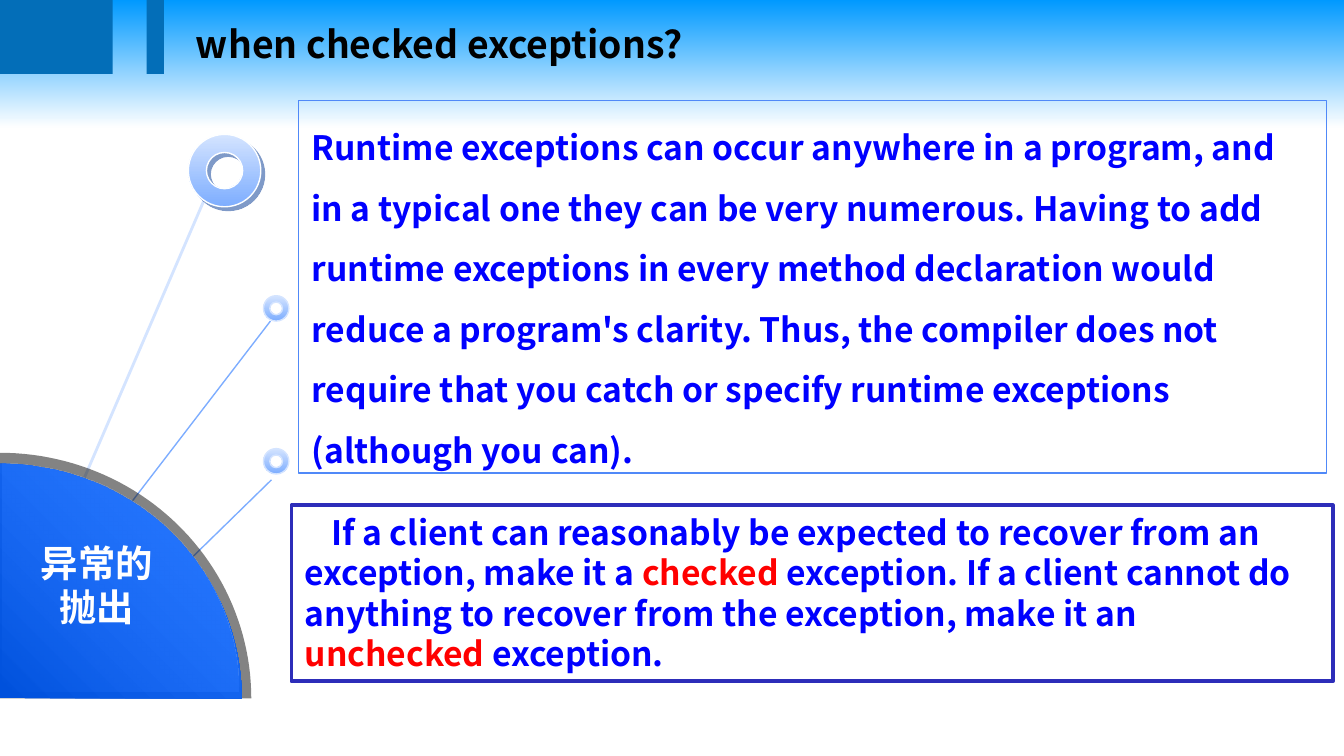
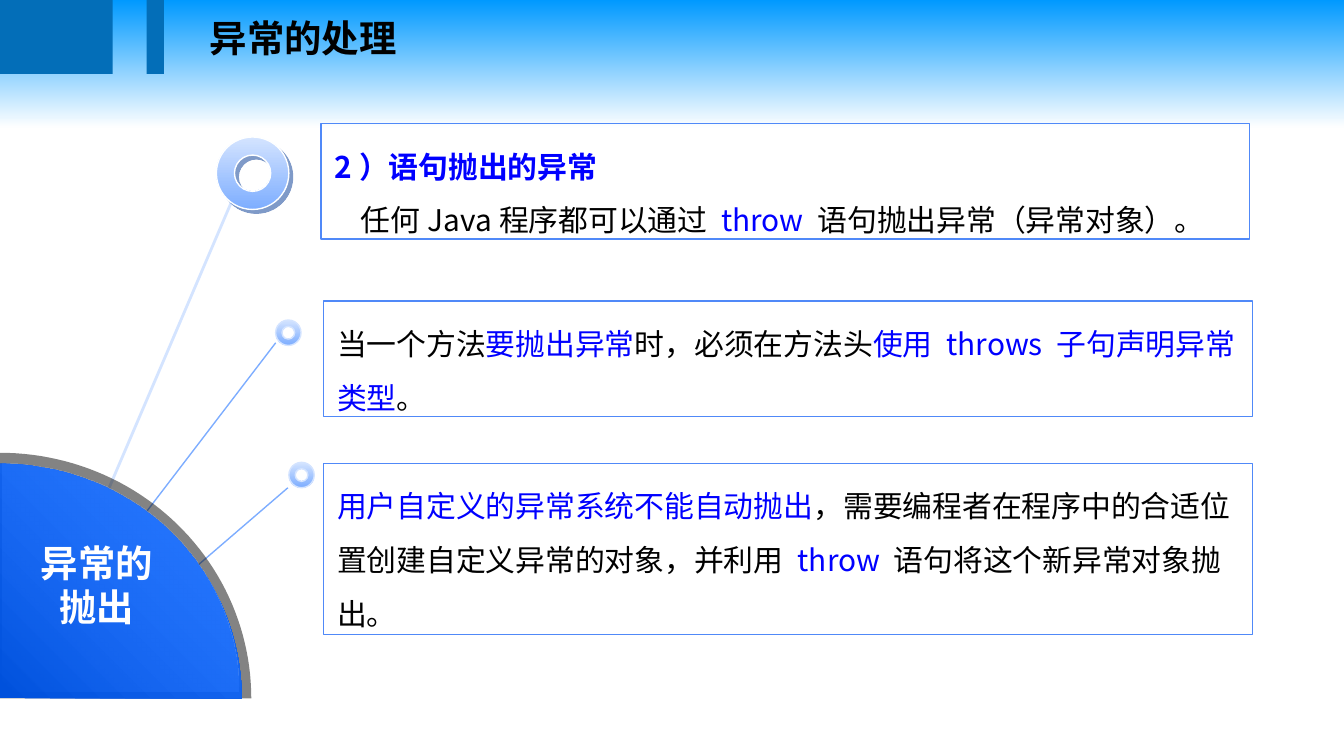
from math import cos, pi, sin

from lxml.etree import SubElement
from pptx import Presentation
from pptx.dml.color import RGBColor
from pptx.enum.shapes import MSO_CONNECTOR, MSO_SHAPE
from pptx.enum.text import MSO_ANCHOR, MSO_AUTO_SIZE, PP_ALIGN
from pptx.oxml.ns import qn
from pptx.util import Cm, Pt

FONT = "Noto Sans CJK SC"
COLOURS = {
    "sky": "0099FF", "band": "036EB8", "white": "FFFFFF", "black": "000000",
    "blue": "0000FF", "red": "FF0000", "card": "5089F8", "frame": "2D2DB9",
    "pale": "D4E4FF", "soft": "7DADFF", "deep": "0051DC", "bright": "2676FF",
    "rim": "080808", "ring_edge": "FEFFFF", "ring_shadow": "003692",
}
RING_SIZES = (1.37, 0.48, 0.48)
SPOKE_STYLES = (("pale", 1.5), ("soft", 0.75), ("soft", 0.75))


def rgb(name):
    return RGBColor.from_string(COLOURS[name])


# Fills and lines
def set_fill(shape, colour):
    if colour:
        shape.fill.solid()
        shape.fill.fore_color.rgb = rgb(colour)
    else:
        shape.fill.background()


def set_gradient(fill, first, last, angle, last_position=1.0):
    fill.gradient()
    fill.gradient_angle = angle
    start, end = fill.gradient_stops
    start.color.rgb, end.color.rgb = rgb(first), rgb(last)
    start.position, end.position = 0, last_position


def set_line(shape, colour=None, width=0.75):
    if colour:
        shape.line.color.rgb = rgb(colour)
        shape.line.width = Pt(width)
    else:
        shape.line.fill.background()


def set_alpha(colour_element, percent):
    SubElement(colour_element, qn("a:alpha")).set("val", str(percent * 1000))


def add_plain(page, kind, place, fill=None, line=None, width=0.75):
    shape = page.shapes.add_shape(kind, *map(Cm, place))
    shape.shadow.inherit = False
    set_fill(shape, fill)
    set_line(shape, line, width)
    return shape


# Text
def write(frame, paragraphs, size, bold=False, spacing=None, align=PP_ALIGN.LEFT):
    """Each paragraph is (indent in cm, [(text, colour), ...], bold or None)."""
    frame.word_wrap = True
    frame.auto_size = MSO_AUTO_SIZE.NONE
    frame.vertical_anchor = MSO_ANCHOR.TOP
    for index, (indent, spans, own_bold) in enumerate(paragraphs):
        para = frame.add_paragraph() if index else frame.paragraphs[0]
        para.alignment = align
        if spacing:
            para.line_spacing = spacing
        if indent:
            para._p.get_or_add_pPr().set("indent", str(Cm(indent)))
        for text, colour in spans:
            span = para.add_run()
            span.text = text
            span.font.size = Pt(size)
            span.font.bold = bold if own_bold is None else own_bold
            span.font.color.rgb = rgb(colour)
            span.font.name = FONT
            SubElement(span._r.get_or_add_rPr(), qn("a:ea")).set("typeface", FONT)


def add_card(page, place, paragraphs, size, bold=False):
    card = add_plain(page, MSO_SHAPE.RECTANGLE, place, line="card")
    write(card.text_frame, paragraphs, size, bold, spacing=1.5)


# Header shared by both slides
def add_page(deck, title, left, top):
    page = deck.slides.add_slide(deck.slide_layouts[5])
    for band_left, width in ((0, 2.13), (2.77, 0.33)):
        add_plain(page, MSO_SHAPE.RECTANGLE, (band_left, 0, width, 1.4), "band")
    box = page.shapes.title
    box.left, box.top, box.width, box.height = map(Cm, (left, top, 11, 1.12))
    write(box.text_frame, [(0, [(title, "black")], None)], 20, bold=True)
    return page


# Dial: spokes, quarter disc, label and rings
def add_spoke(page, ends, colour, width):
    spoke = page.shapes.add_connector(MSO_CONNECTOR.STRAIGHT, *map(Cm, ends))
    set_line(spoke, colour, width)
    SubElement(spoke._element.spPr, qn("a:effectLst"))


def add_quarter(page, left, top, width, height):
    steps = 48
    arc = []
    for step in range(steps + 1):
        angle = pi / 2 * step / steps
        arc.append((Cm(left + width * sin(angle)),
                    Cm(top + height * (1 - cos(angle)))))
    builder = page.shapes.build_freeform(*arc[0])
    builder.add_line_segments(arc[1:] + [(Cm(left), Cm(top + height))])
    quarter = builder.convert_to_shape()
    quarter.shadow.inherit = False
    set_line(quarter)
    return quarter


def add_ring(page, left, top, size):
    ring = add_plain(page, MSO_SHAPE.DONUT, (left, top, size, size), line="pale")
    ring.adjustments[0] = 0.25
    set_gradient(ring.fill, "pale", "soft", 270)
    return ring


def add_ring_shadow(ring):
    effects = ring._element.spPr.find(qn("a:effectLst"))
    shadow = SubElement(effects, qn("a:outerShdw"))
    for key, value in (("blurRad", 0), ("dist", Pt(2.8)), ("dir", 45 * 60000),
                       ("algn", "ctr"), ("rotWithShape", 0)):
        shadow.set(key, str(value))
    colour = SubElement(shadow, qn("a:srgbClr"))
    colour.set("val", COLOURS["ring_shadow"])
    set_alpha(colour, 50)


def add_dial(page, spokes, rings):
    for ends, style in reversed(list(zip(spokes, SPOKE_STYLES))):
        add_spoke(page, ends, *style)

    rim = add_quarter(page, 0, 8.56, 4.75, 4.64)
    set_fill(rim, "rim")
    set_alpha(rim._element.spPr.find(".//" + qn("a:srgbClr")), 50)
    disc = add_quarter(page, 0, 8.77, 4.57, 4.43)
    set_gradient(disc.fill, "deep", "bright", 45)
    sheen = add_quarter(page, 0.05, 8.77, 4.45, 4.31)
    set_gradient(sheen.fill, "bright", "bright", 45)
    set_alpha(sheen._element.spPr.find(".//" + qn("a:srgbClr")), 0)

    label = page.shapes.add_textbox(*map(Cm, (0.23, 10.08, 3.2, 1.96)))
    write(label.text_frame, [(0, [("异常的抛出", "white")], None)], 20,
          bold=True, align=PP_ALIGN.CENTER)

    big, *_ = [add_ring(page, *corner, size)
               for corner, size in zip(rings, RING_SIZES)]
    set_line(big, "ring_edge")
    add_ring_shadow(big)


def build_checked_page(deck):
    page = add_page(deck, "when checked exceptions?", 3.45, 0.28)
    add_card(page, (5.64, 1.9, 19.43, 7.04), [(0, [(
        "Runtime exceptions can occur anywhere in a program, and in a typical "
        "one they can be very numerous. Having to add runtime exceptions in "
        "every method declaration would reduce a program's clarity. Thus, the "
        "compiler does not require that you catch or specify runtime "
        "exceptions (although you can).", "blue")], None)], 18, bold=True)
    add_dial(page,
             spokes=((3.91, 3.66, 0, 12.73), (5.11, 6.07, 0, 12.73),
                     (5.13, 9.07, 2.92, 11.23)),
             rings=((3.56, 2.54), (4.98, 5.59), (4.98, 8.48)))
    advice = add_plain(page, MSO_SHAPE.RECTANGLE, (5.51, 9.55, 19.68, 3.33),
                       "white", "frame", 2)
    write(advice.text_frame, [(0.5, [
        ("If a client can reasonably be expected to recover from an "
         "exception, make it a ", "blue"),
        ("checked", "red"),
        (" exception. If a client cannot do anything to recover from the "
         "exception, make it an ", "blue"),
        ("unchecked", "red"),
        (" exception.", "blue")], None)], 18, bold=True)


def build_throw_page(deck):
    page = add_page(deck, "异常的处理", 3.71, 0.15)
    add_card(page, (6.07, 2.34, 17.55, 2.18), [
        (0, [("2）语句抛出的异常", "blue")], True),
        (0.5, [("任何Java程序都可以通过 ", "black"), ("throw ", "blue"),
               ("语句抛出异常（异常对象）。", "black")], None)], 16)
    add_card(page, (6.12, 5.69, 17.55, 2.18), [(0, [
        ("当一个方法", "black"), ("要抛出异常", "blue"),
        ("时，必须在方法头", "black"),
        ("使用 throws 子句声明异常类型", "blue"), ("。", "black")], None)], 16)
    add_card(page, (6.12, 8.76, 17.55, 3.23), [(0, [
        ("用户自定义的异常系统不能自动抛出", "blue"),
        ("，需要编程者在程序中的合适位置创建自定义异常的对象，并利用 ", "black"),
        ("throw ", "blue"), ("语句将这个新异常对象抛出。", "black")], None)], 16)
    add_dial(page,
             spokes=((4.39, 3.78, 0.51, 12.85), (5.21, 6.48, 0.1, 13.16),
                     (5.44, 9.22, 2.13, 12.07)),
             rings=((4.09, 2.59), (5.21, 6.05), (5.46, 8.74)))


def main():
    deck = Presentation()
    deck.slide_width, deck.slide_height = Cm(25.4), Cm(14.29)
    set_gradient(deck.slide_master.background.fill, "sky", "white", 270, 0.17)
    build_checked_page(deck)
    build_throw_page(deck)
    deck.save("out.pptx")


if __name__ == "__main__":
    main()
